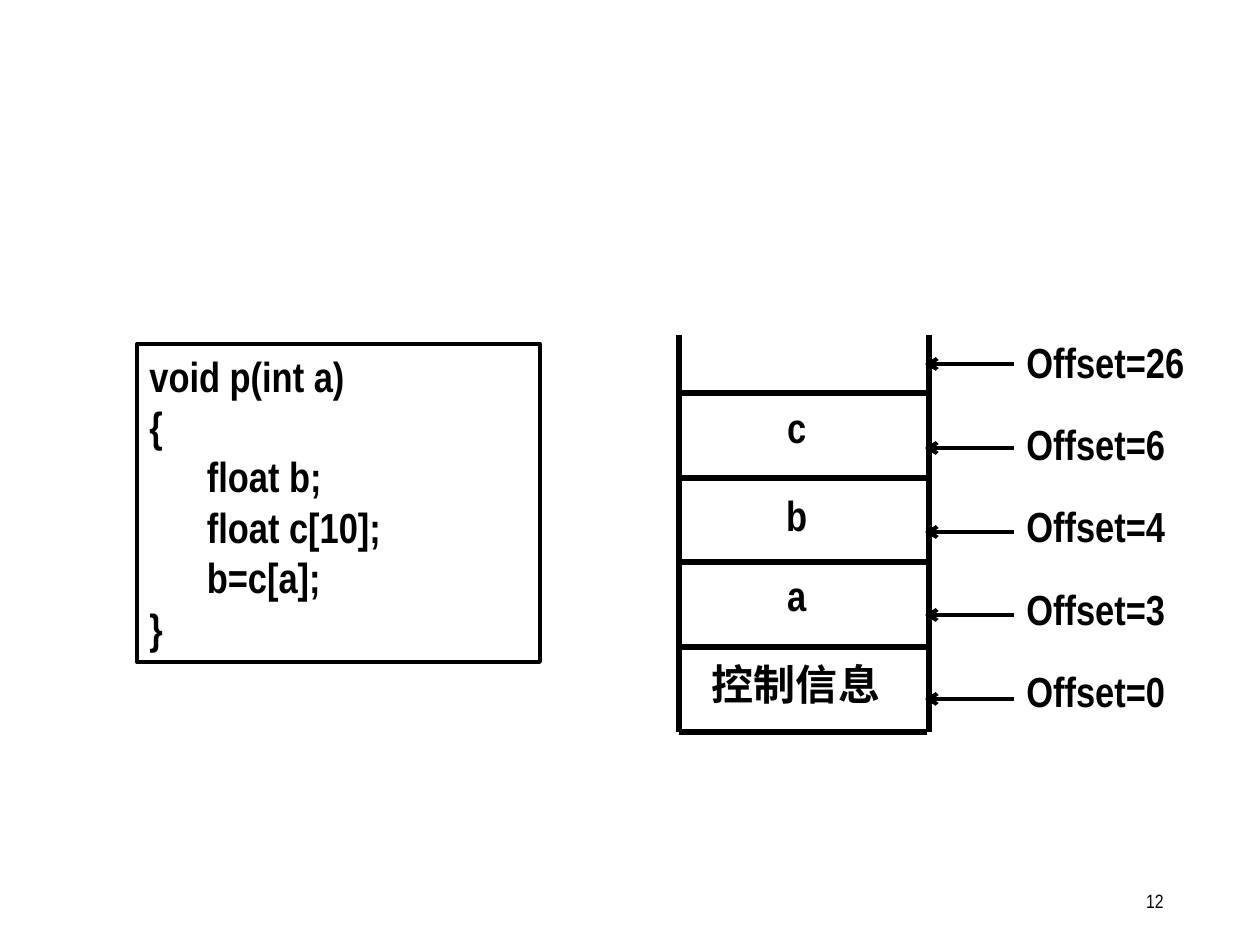
"""Build a slide showing a procedure and the stack layout of its variables."""
from lxml import etree
from pptx import Presentation
from pptx.dml.color import RGBColor
from pptx.enum.shapes import MSO_CONNECTOR, MSO_SHAPE
from pptx.enum.text import MSO_ANCHOR, PP_ALIGN
from pptx.oxml.ns import qn
from pptx.util import Emu, Pt

STRAIGHT = MSO_CONNECTOR.STRAIGHT
RECTANGLE = MSO_SHAPE.RECTANGLE
TOP, MIDDLE = MSO_ANCHOR.TOP, MSO_ANCHOR.MIDDLE
LEFT, RIGHT = PP_ALIGN.LEFT, PP_ALIGN.RIGHT

BLACK = RGBColor(0, 0, 0)
FONT = "Arial Narrow"
EMU_PER_PX = 914400 / 126

CODE = [
    "void p(int a)",
    "{",
    "      float b;",
    "      float c[10];",
    "      b=c[a];",
    "}",
]
CELLS = [
    ("c", 787, 402, 19),
    ("b", 786, 490, 21),
    ("a", 787, 570, 19),
    ("控制信息", 712, 659, 207),
]
OFFSETS = [26, 6, 4, 3, 0]

STACK_LEFT, STACK_RIGHT = 679, 929
STACK_TOP, STACK_BOTTOM = 335, 732
FIRST_DIVIDER = 393
FIRST_ARROW, LAST_ARROW = 364, 699
FIRST_LABEL, LAST_LABEL = 330, 659
LABEL_LEFT = 1014


def px(length):
    return Emu(round(length * EMU_PER_PX))


def spread(first, last, count):
    return [round(first + i * (last - first) / (count - 1)) for i in range(count)]


def write(frame, lines, size=24, bold=True, align=LEFT):
    frame.text = "\n".join(lines)
    for paragraph in frame.paragraphs:
        paragraph.alignment = align
        paragraph.font.name = FONT
        paragraph.font.size = Pt(size)
        paragraph.font.bold = bold
        paragraph.font.color.rgb = BLACK


def add_text(slide, text, left, top, width, height, wrap=True, inset=True, **style):
    label = slide.shapes.add_textbox(px(left), px(top), px(width), px(height))
    frame = label.text_frame
    frame.word_wrap = wrap
    if not inset:
        frame.margin_left = frame.margin_right = 0
        frame.margin_top = frame.margin_bottom = 0
    write(frame, [text], **style)
    return frame


def add_line(slide, x1, y1, x2, y2, weight=3, arrow=False):
    line = slide.shapes.add_connector(STRAIGHT, px(x1), px(y1), px(x2), px(y2))
    line.line.color.rgb = BLACK
    line.line.width = Pt(weight)
    if arrow:
        outline = line.line._get_or_add_ln()
        etree.SubElement(outline, qn("a:tailEnd"), type="arrow")
    etree.SubElement(line._element.spPr, qn("a:effectLst"))


def add_code(slide):
    code = slide.shapes.add_shape(RECTANGLE, px(137), px(344), px(403), px(318))
    code.shadow.inherit = False
    code.fill.background()
    code.line.color.rgb = BLACK
    code.line.width = Pt(2.25)
    code.text_frame.word_wrap = True
    code.text_frame.vertical_anchor = TOP
    write(code.text_frame, CODE)


def add_stack(slide):
    for side in (STACK_LEFT, STACK_RIGHT):
        add_line(slide, side, STACK_TOP, side, STACK_BOTTOM)
    for y in spread(FIRST_DIVIDER, STACK_BOTTOM, len(CELLS) + 1):
        add_line(slide, STACK_LEFT, y, STACK_RIGHT - 2, y)
    for text, left, top, width in CELLS:
        add_text(slide, text, left, top, width, 50, wrap=len(text) > 1, inset=False)


def add_offsets(slide):
    arrow_rows = spread(FIRST_ARROW, LAST_ARROW, len(OFFSETS))
    label_rows = spread(FIRST_LABEL, LAST_LABEL, len(OFFSETS))
    for offset, arrow_y, label_y in zip(OFFSETS, arrow_rows, label_rows):
        add_line(slide, LABEL_LEFT, arrow_y, STACK_RIGHT - 4, arrow_y, 2.25, arrow=True)
        add_text(slide, f"Offset={offset}", LABEL_LEFT, label_y, 197, 63)


def main():
    deck = Presentation()
    deck.slide_width, deck.slide_height = px(1260), px(945)
    slide = deck.slides.add_slide(deck.slide_layouts[6])
    add_code(slide)
    add_stack(slide)
    add_offsets(slide)
    page = add_text(slide, "12", 1040, 876, 136, 50, size=11, bold=False, align=RIGHT)
    page.vertical_anchor = MIDDLE
    deck.save("out.pptx")


if __name__ == "__main__":
    main()
